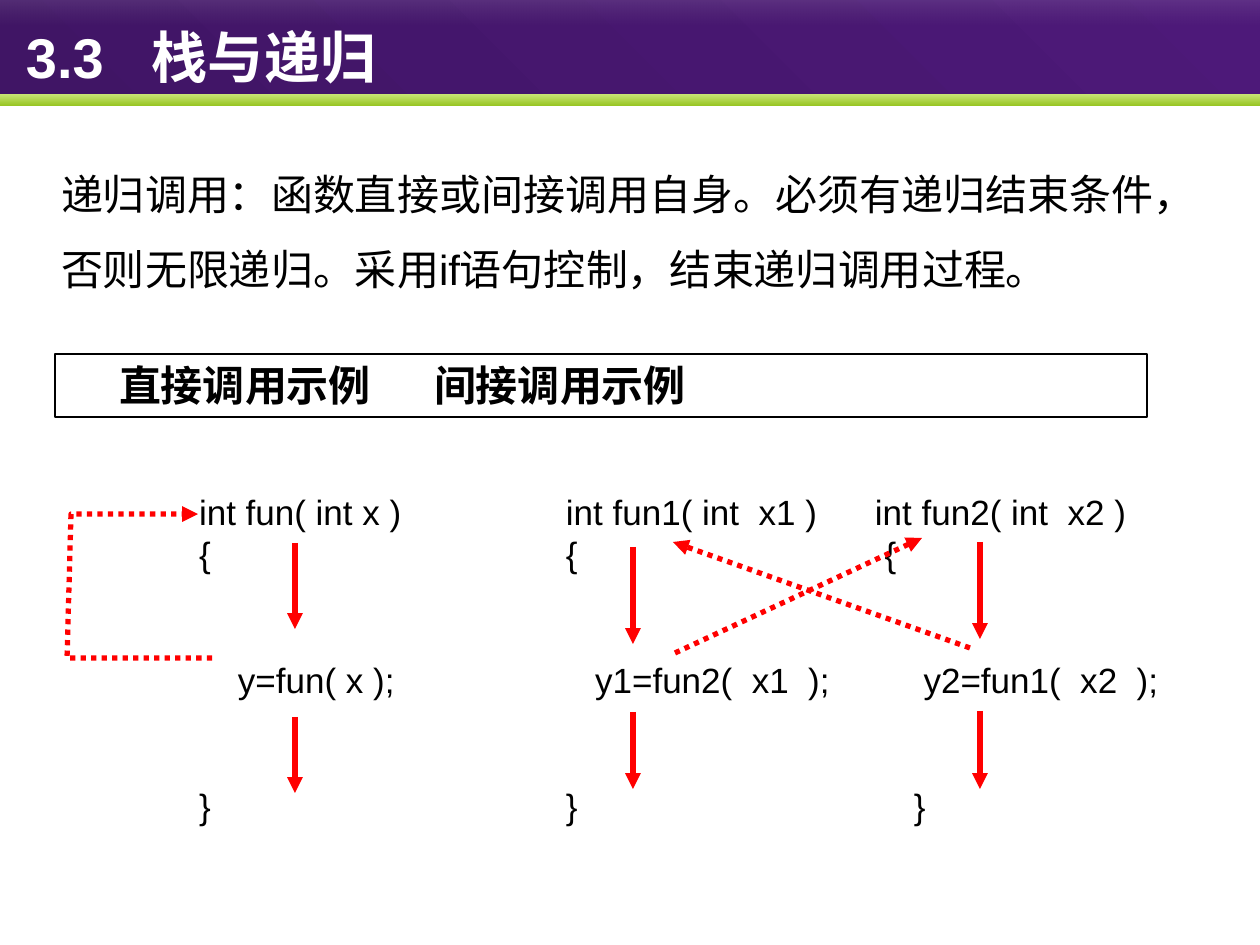
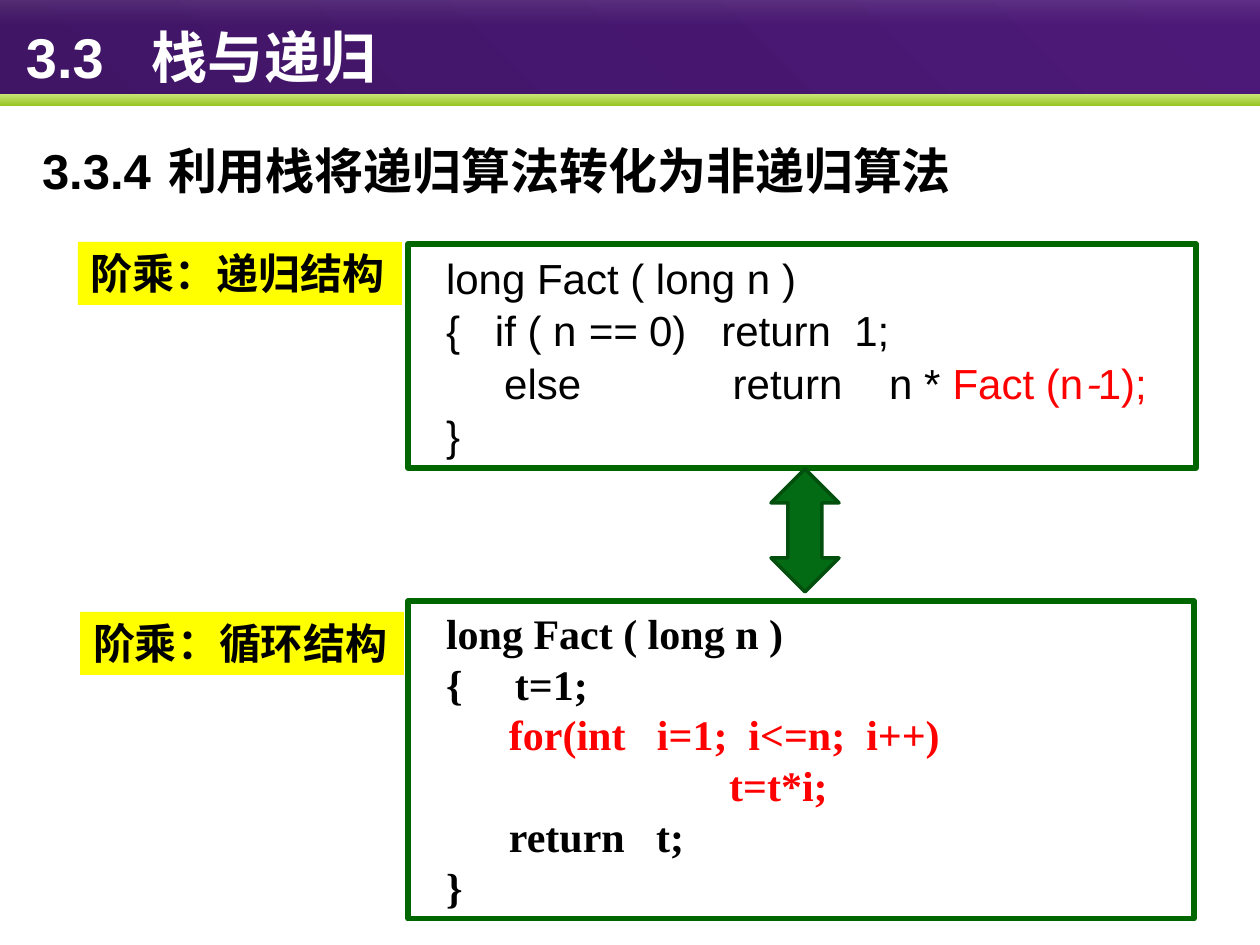
"""Build two lecture slides about stacks and recursion."""
from dataclasses import dataclass

from pptx import Presentation, util as u
from pptx.dml.color import RGBColor
from pptx.enum import dml, shapes, text
from pptx.oxml.xmlchemy import OxmlElement

SCALE = 914400 / 126


@dataclass(frozen=True)
class Theme:
    """Colours, fonts and type sizes of the deck."""
    white: str = "FFFFFF"
    ink: str = "000000"
    red: str = "FF0000"
    green: str = "006600"
    arrow: str = "036B13"
    arrow_edge: str = "024F0E"
    yellow: str = "FFFF00"
    latin: str = "Arial"
    serif: str = "Times New Roman"
    cjk: str = "Noto Sans CJK SC"
    title: int = 32
    heading: int = 28
    body: int = 24
    code: int = 20
    stroke: int = 3


THEME = Theme()


@dataclass(frozen=True)
class Box:
    """A rectangle in px."""
    left: int
    top: int
    width: int
    height: int

    def emu(self) -> tuple:
        """Return the four lengths in EMU."""
        return tuple(px(n) for n in (self.left, self.top, self.width, self.height))


@dataclass(frozen=True)
class Style:
    """How the lines of one text are set."""
    size: int
    font: str = THEME.latin
    color: str = THEME.ink
    bold: bool = False
    spacing: object = 1.0
    tab: int = 0


@dataclass(frozen=True)
class Piece:
    """A run that may differ from the style of its text."""
    text: str
    color: str = ""
    font: str = ""
    italic: bool = False


@dataclass(frozen=True)
class Line:
    """A paragraph made of runs."""
    pieces: tuple
    before: int = 0


@dataclass(frozen=True)
class Band:
    """A gradient strip of the header."""
    box: Box
    colors: tuple
    angle: int
    alphas: tuple = ()


@dataclass(frozen=True)
class Arrow:
    """A straight red arrow between two points in px."""
    x1: int
    y1: int
    x2: int
    y2: int
    dotted: bool = False


@dataclass(frozen=True)
class Function:
    """A code sketch with its place on the slide."""
    left: int
    width: int
    lines: tuple


BANDS = (
    Band(Box(0, -4, 1260, 98), ("401565", "4D1979"), 45),
    Band(Box(0, 94, 1260, 12), ("C9E576", "97C523"), 270),
    Band(Box(0, -4, 1260, 30), (THEME.white, "B6B6B6"), 270, (13000, 0)),
)
TITLE_STYLE = Style(THEME.title, color=THEME.white, bold=True, tab=122)
FUNCTIONS = (
    Function(186, 268, ("int fun( int x )", "{", "    y=fun( x );", "}")),
    Function(553, 300, ("int fun1( int  x1 )", "{", "   y1=fun2(  x1  );", "}")),
    Function(862, 330, ("int fun2( int  x2 )", " {", "     y2=fun1(  x2  );", "    }")),
)
ARROWS = (
    Arrow(675, 653, 922, 538, True),
    Arrow(970, 648, 673, 542, True),
    Arrow(633, 547, 633, 644),
    Arrow(633, 712, 633, 789),
    Arrow(980, 542, 980, 639),
    Arrow(980, 711, 980, 789),
    Arrow(295, 543, 295, 629),
    Arrow(295, 717, 295, 793),
)
SELF_CALL = ((212, 658), (67, 658), (71, 514), (198, 514))
RECURSIVE = (
    plain_line := Line((Piece("long Fact ( long n )"),)),
    Line((Piece("{   if ( n"), Piece(" ==", italic=True), Piece(" 0)   return  1;"))),
    Line((Piece("     else             return    n * "), Piece("Fact (n", THEME.red),
          Piece("-", THEME.red, THEME.cjk, True), Piece("1);", THEME.red))),
    Line((Piece("}"),)),
)
ITERATIVE = (
    plain_line,
    Line((Piece("{     t=1;"),)),
    Line((Piece("      for(int   i=1;  i<=n;  i++)", THEME.red),)),
    Line((Piece(" " * 27 + "t=t*i;", THEME.red),)),
    Line((Piece("      return   t;"),)),
    Line((Piece("}"),)),
)


def px(length: float) -> u.Emu:
    """Turn px into EMU."""
    return u.Emu(round(length * SCALE))


def rgb(color: str) -> RGBColor:
    """Turn a hex string into a colour."""
    return RGBColor.from_string(color)


def plain(*texts: str) -> tuple:
    """Make one single-run line for each text."""
    return tuple(Line((Piece(item),)) for item in texts)


def write(shape, lines: tuple, style: Style, wrap: bool = True, inset: int = 13,
          anchor=text.MSO_ANCHOR.TOP) -> None:
    """Write lines into a shape, run by run."""
    frame = shape.text_frame
    frame.auto_size = text.MSO_AUTO_SIZE.NONE
    frame.word_wrap = wrap
    frame.vertical_anchor = anchor
    frame.margin_left, frame.margin_right = px(inset), px(13)
    frame.margin_top = frame.margin_bottom = px(6)
    for index, line in enumerate(lines):
        paragraph = frame.add_paragraph() if index else frame.paragraphs[0]
        properties = paragraph._p.get_or_add_pPr()
        properties.set("marL", "0")
        properties.set("indent", "0")
        properties.append(OxmlElement("a:buNone"))
        if style.tab:
            stops, stop = OxmlElement("a:tabLst"), OxmlElement("a:tab")
            stop.set("pos", str(px(style.tab)))
            stop.set("algn", "l")
            stops.append(stop)
            properties.append(stops)
        paragraph.alignment = text.PP_ALIGN.LEFT
        paragraph.line_spacing = style.spacing
        paragraph.space_before = u.Pt(line.before)
        for piece in line.pieces:
            run = paragraph.add_run()
            run.text = piece.text
            run.font.size = u.Pt(style.size)
            run.font.bold = style.bold
            run.font.italic = piece.italic
            run.font.color.rgb = rgb(piece.color or style.color)
            run.font.name = piece.font or style.font
            east_asian = OxmlElement("a:ea")
            east_asian.set("typeface", THEME.cjk)
            run.font._element.append(east_asian)


def place(shape, box: Box) -> None:
    """Move a shape to a box."""
    shape.left, shape.top, shape.width, shape.height = box.emu()


def add_panel(slide, box: Box, fill: str = "", edge: str = "", weight: float = THEME.stroke,
              kind=shapes.MSO_SHAPE.RECTANGLE):
    """Add a preset shape with an optional fill and outline."""
    panel = slide.shapes.add_shape(kind, *box.emu())
    panel.shadow.inherit = False
    if fill:
        panel.fill.solid()
        panel.fill.fore_color.rgb = rgb(fill)
    else:
        panel.fill.background()
    if edge:
        panel.line.color.rgb = rgb(edge)
        panel.line.width = u.Pt(weight)
    else:
        panel.line.fill.background()
    return panel


def move_band_to_layout(slide, layout, band: Band, place_in_order: int) -> None:
    """Draw a header strip and hand it to the layout."""
    strip = add_panel(slide, band.box)
    strip.fill.gradient()
    strip.fill.gradient_angle = band.angle
    for stop, color in zip(strip.fill.gradient_stops, band.colors):
        stop.color.rgb = rgb(color)
    for color, opacity in zip(strip._element.spPr.iter("{*}srgbClr"), band.alphas):
        alpha = OxmlElement("a:alpha")
        alpha.set("val", str(opacity))
        color.append(alpha)
    strip._element.nvSpPr.cNvPr.set("id", str(20 + place_in_order))
    layout.shapes._spTree.insert(2 + place_in_order, strip._element)


def style_arrow(line, dotted: bool) -> None:
    """Give a line the red arrow look."""
    line.color.rgb = rgb(THEME.red)
    line.width = u.Pt(THEME.stroke)
    if dotted:
        line.dash_style = dml.MSO_LINE.ROUND_DOT
    tip = OxmlElement("a:tailEnd")
    tip.set("type", "triangle")
    line._get_or_add_ln().append(tip)


def add_arrow(slide, arrow: Arrow) -> None:
    """Add a straight arrow."""
    ends = (px(n) for n in (arrow.x1, arrow.y1, arrow.x2, arrow.y2))
    link = slide.shapes.add_connector(shapes.MSO_CONNECTOR.STRAIGHT, *ends)
    style_arrow(link.line, arrow.dotted)
    link._element.spPr.append(OxmlElement("a:effectLst"))


def add_slide(deck, layout, body: str, box: Box, style: Style):
    """Add a slide with the chapter title and one body text."""
    slide = deck.slides.add_slide(layout)
    write(slide.shapes.title, plain("3.3\t栈与递归"), TITLE_STYLE, anchor=text.MSO_ANCHOR.MIDDLE)
    place(slide.placeholders[1], box)
    write(slide.placeholders[1], plain(body), style)
    return slide


def fill_call_slide(slide) -> None:
    """Draw direct and indirect recursive calls."""
    code = Style(THEME.code, spacing=u.Pt(24))
    for function in FUNCTIONS:
        head, opening, call, closing = plain(*function.lines)
        gap = 2 * THEME.body
        sketch = slide.shapes.add_textbox(*Box(function.left, 484, function.width, 383).emu())
        write(sketch, (head, opening, Line(call.pieces, gap), Line(closing.pieces, gap)), code)
    for arrow in ARROWS:
        add_arrow(slide, arrow)
    outline = slide.shapes.build_freeform(*SELF_CALL[0], scale=SCALE)
    outline.add_line_segments(SELF_CALL[1:], close=False)
    self_call = outline.convert_to_shape()
    self_call.shadow.inherit = False
    self_call.fill.background()
    style_arrow(self_call.line, True)
    examples = add_panel(slide, Box(55, 354, 1092, 63), edge=THEME.ink, weight=0.75)
    write(examples, plain("直接调用示例\t间接调用示例"),
          Style(THEME.body, bold=True, tab=509), inset=64)


def fill_factorial_slide(slide) -> None:
    """Set the recursive factorial beside its loop form."""
    recursive = add_panel(slide, Box(408, 244, 788, 224), edge=THEME.green)
    write(recursive, RECURSIVE, Style(THEME.body, spacing=u.Pt(30)), inset=38)
    iterative = add_panel(slide, Box(408, 601, 786, 318), edge=THEME.green)
    write(iterative, ITERATIVE,
          Style(THEME.body, THEME.serif, bold=True, spacing=u.Pt(29)), inset=38)
    label = Style(THEME.body, THEME.cjk, bold=True)
    for left, top, form in ((78, 242, "阶乘：递归结构"), (80, 612, "阶乘：循环结构")):
        write(add_panel(slide, Box(left, top, 324, 63), THEME.yellow), plain(form), label, wrap=False)
    add_panel(slide, Box(771, 469, 68, 123), THEME.arrow, THEME.arrow_edge, 2,
              shapes.MSO_SHAPE.UP_DOWN_ARROW)


def main() -> None:
    """Build and save the deck."""
    deck = Presentation()
    deck.slide_width, deck.slide_height = px(1260), px(945)
    layout = deck.slide_layouts[1]
    place(layout.placeholders[0], Box(13, 0, 1247, 113))
    calls = add_slide(
        deck, layout,
        "递归调用：函数直接或间接调用自身。必须有递归结束条件，否则无限递归。采用if语句控制，结束递归调用过程。",
        Box(48, 137, 1166, 159), Style(THEME.body, spacing=1.5))
    for order, band in enumerate(BANDS):
        move_band_to_layout(calls, layout, band, order)
    fill_call_slide(calls)
    factorial = add_slide(deck, layout, "3.3.4\t利用栈将递归算法转化为非递归算法",
                          Box(29, 135, 1028, 84), Style(THEME.heading, bold=True, tab=146))
    fill_factorial_slide(factorial)
    deck.save("out.pptx")


if __name__ == "__main__":
    main()
